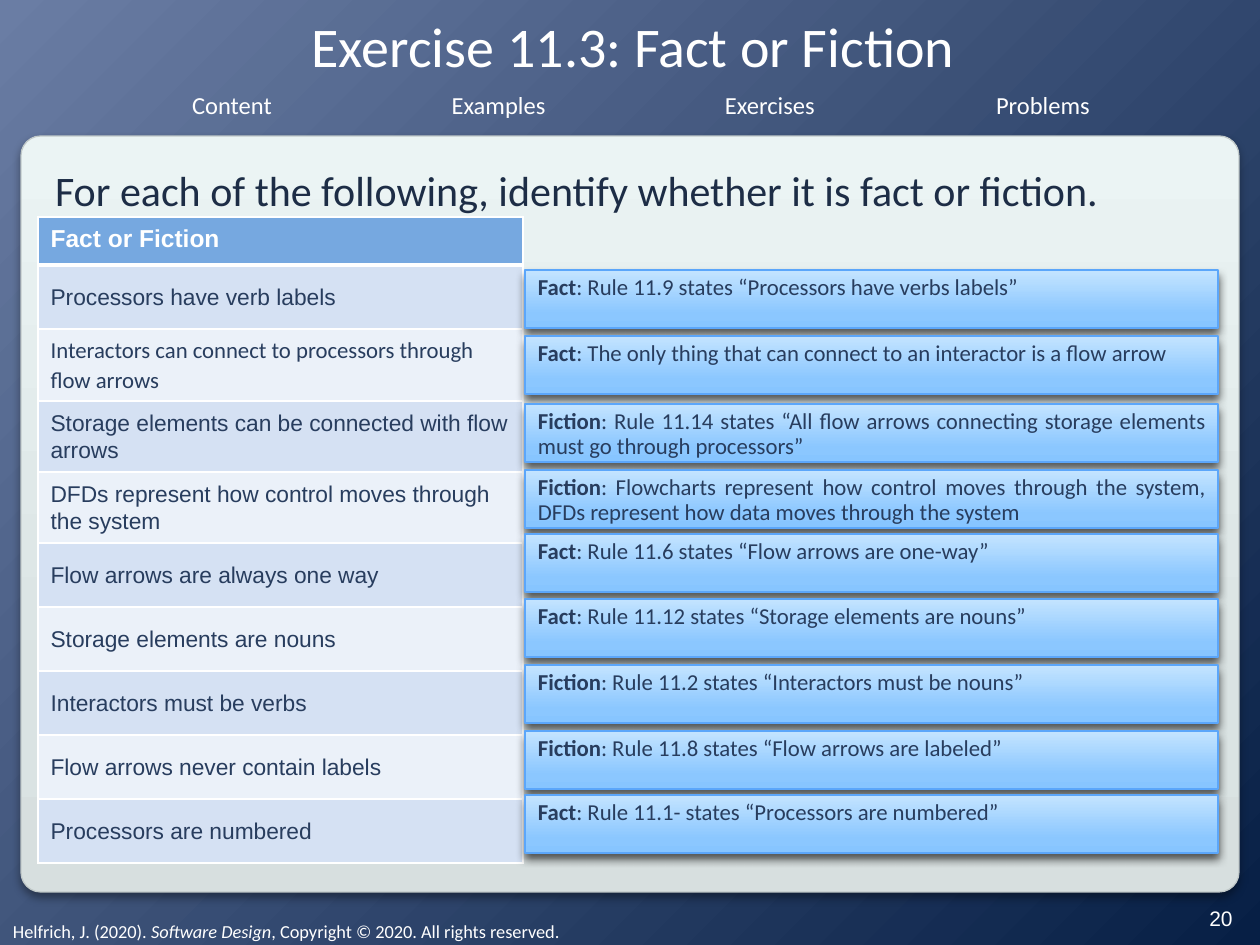
from dataclasses import dataclass

from lxml import etree
from pptx import Presentation
from pptx.dml.color import RGBColor
from pptx.enum.shapes import MSO_SHAPE
from pptx.enum.text import MSO_ANCHOR, MSO_AUTO_SIZE, PP_ALIGN
from pptx.oxml.ns import nsdecls, qn
from pptx.util import Pt

LEFT, MID, JUST = PP_ALIGN.LEFT, PP_ALIGN.CENTER, PP_ALIGN.JUSTIFY
TOP, CORE = MSO_ANCHOR.TOP, MSO_ANCHOR.MIDDLE
FIXED = MSO_AUTO_SIZE.NONE
ROUND, RECT = MSO_SHAPE.ROUNDED_RECTANGLE, MSO_SHAPE.RECTANGLE


@dataclass(frozen=True)
class Theme:
    sans: str = "Calibri"
    grid: str = "Arial"
    white: str = "FFFFFF"
    ink: str = "283D5E"
    deep: str = "1D2D46"
    head: str = "76A8E0"
    bands: tuple = ("D5E1F3", "EBF1F9")
    sky: tuple = ((0, "6A7DA4"), (100, "071F45"))
    panel: tuple = ((0, "D7DFDF"), (25, "DAE3E3"), (100, "EBF4F4"))
    rim: str = "C1C9C9"
    bar: tuple = ((0, "87C5FF"), (25, "8BC7FF"), (100, "C4E4FF"))
    edge: str = "5BA6FA"
    title: float = 32
    lead: float = 24
    menu: float = 14
    cell: float = 13
    page: float = 12
    note: float = 10.5


T = Theme()
LINEAR = '<a:lin ang="16200000" scaled="0"/>'
RADIAL = '<a:path path="circle"><a:fillToRect r="100000" b="100000"/></a:path>'

CLAIMS = [
    ("Processors have verb labels", T.grid),
    ("Interactors can connect to processors through flow arrows", T.sans),
    ("Storage elements can be connected with flow arrows", T.grid),
    ("DFDs represent how control moves through the system", T.grid),
    ("Flow arrows are always one way", T.grid),
    ("Storage elements are nouns", T.grid),
    ("Interactors must be verbs", T.grid),
    ("Flow arrows never contain labels", T.grid),
    ("Processors are numbered", T.grid),
]
REPLIES = [
    (0, "Fact", "Rule 11.9 states “Processors have verbs labels”"),
    (66, "Fact", "The only thing that can connect to an interactor is a flow arrow"),
    (134, "Fiction", "Rule 11.14 states “All flow arrows connecting storage elements "
     "must go through processors”"),
    (200, "Fiction", "Flowcharts represent how control moves through the system, "
     "DFDs represent how data moves through the system"),
    (264, "Fact", "Rule 11.6 states “Flow arrows are one-way”"),
    (329, "Fact", "Rule 11.12 states “Storage elements are nouns”"),
    (395, "Fiction", "Rule 11.2 states “Interactors must be nouns”"),
    (461, "Fiction", "Rule 11.8 states “Flow arrows are labeled”"),
    (525, "Fact", "Rule 11.1- states “Processors are numbered”"),
]
MENU = [(0, 106, "Content"), (259, 121, "Examples"),
        (533, 116, "Exercises"), (804, 120, "Problems")]


def px(n):
    return round(n * 914400 / 126)


def node(xml):
    return etree.fromstring(xml.replace(" ", f" {nsdecls('a')} ", 1))


def write(frame, *runs, size, color=T.white, font=T.sans, bold=(), slant=(),
          align=LEFT, gap=None, lead=0):
    para = frame.paragraphs[0]
    para.alignment = align
    para.space_before = Pt(lead)
    if gap:
        para.line_spacing = gap
    for i, text in enumerate(runs):
        run = para.add_run()
        run.text = text
        run.font.name, run.font.size = font, Pt(size)
        run.font.bold, run.font.italic = i in bold, i in slant
        run.font.color.rgb = RGBColor.from_string(color)
    return para


def fit(shape, box, pad=(13, 6), anchor=TOP):
    shape.left, shape.top, shape.width, shape.height = map(px, box)
    frame = shape.text_frame
    frame.word_wrap, frame.auto_size = True, FIXED
    frame.vertical_anchor = anchor
    frame.margin_left = frame.margin_right = px(pad[0])
    frame.margin_top = frame.margin_bottom = px(pad[1])
    return frame


def label(slide, box, **look):
    return fit(slide.shapes.add_textbox(0, 0, 0, 0), box, **look)


def paint(fill, root, stops, shade):
    fill.gradient()
    old = next(root.iter(qn("a:gradFill")))
    marks = "".join(f'<a:gs pos="{at * 1000}"><a:srgbClr val="{hue}"/></a:gs>'
                    for at, hue in stops)
    new = node(f'<a:gradFill rotWithShape="1"><a:gsLst>{marks}</a:gsLst>{shade}</a:gradFill>')
    old.getparent().replace(old, new)


def plate(slide, kind, box, stops, edge, alpha):
    shape = slide.shapes.add_shape(kind, *map(px, box))
    paint(shape.fill, shape._element, stops, LINEAR)
    shape.line.color.rgb = RGBColor.from_string(edge)
    shape.line.width = Pt(0.75)
    shape.shadow.inherit = False
    shape._element.spPr.find(qn("a:effectLst")).append(node(
        '<a:outerShdw blurRad="66040" dist="38100" dir="5400000" rotWithShape="0">'
        f'<a:srgbClr val="000000"><a:alpha val="{alpha * 1000}"/></a:srgbClr></a:outerShdw>'))
    return shape


def rule(cell, **sides):
    props = cell._tc.get_or_add_tcPr()
    for i, (side, width) in enumerate(sides.items()):
        props.insert(i, node(
            f'<a:{side} w="{Pt(width)}"><a:solidFill><a:srgbClr val="{T.white}"/>'
            f'</a:solidFill></a:{side}>'))


def menu(slide, x, y):
    for dx, wide, text in MENU:
        frame = label(slide, (x + dx, y, wide, 43), pad=(0, 6))
        write(frame, text, size=T.menu, align=MID)


def header(slide, x, y, w, h):
    frame = fit(slide.shapes.title, (x, y, w, h), pad=(0, 0), anchor=CORE)
    write(frame, "Exercise 11.3: Fact or Fiction", size=T.title, align=MID)


def intro(slide, x, y, w, h):
    frame = fit(slide.placeholders[1], (x, y, w, h))
    para = write(frame, "For each of the following, identify whether it is fact or fiction.",
                 size=T.lead, color=T.deep, lead=2)
    props = para._p.get_or_add_pPr()
    props.set("marL", str(px(48)))
    props.set("indent", str(-px(48)))
    props.append(node("<a:buNone />"))


def claims(slide, x, y, w):
    highs = [48] + [71 if len(text) > 40 else 64 for text, _ in CLAIMS]
    table = slide.shapes.add_table(len(highs), 1, *map(px, (x, y, w, sum(highs)))).table
    for i, (text, font) in enumerate([("Fact or Fiction", T.grid)] + CLAIMS):
        table.rows[i].height = px(highs[i])
        cell = table.cell(i, 0)
        cell.vertical_anchor = CORE if i else TOP
        cell.fill.solid()
        cell.fill.fore_color.rgb = RGBColor.from_string(T.bands[(i - 1) % 2] if i else T.head)
        rule(cell, lnL=1, lnR=1, lnT=3 if i == 1 else 1, lnB=1 if i else 3)
        write(cell.text_frame, text, font=font, gap=1.07,
              size=T.cell if i else T.menu, color=T.ink if i else T.white,
              bold=() if i else (0,))


def replies(slide, x, y, w):
    for dy, mark, text in REPLIES:
        box = (x, y + dy, w, 58)
        frame = fit(plate(slide, RECT, box, T.bar, T.edge, 64), box)
        write(frame, mark, f": {text}", size=T.cell, color=T.ink, bold=(0,),
              align=JUST, gap=0.9)


def footer(slide, x, y, w, h):
    frame = label(slide, (x, y + 22, 1134, 37))
    write(frame, "Helfrich, J. (2020). ", "Software Design",
          ", Copyright © 2020. All rights reserved.", size=T.note, slant=(1,))
    frame = label(slide, (x + w - 81, y, 84, h), anchor=CORE)
    write(frame, "20", size=T.page, font=T.grid, align=MID)


def main():
    deck = Presentation()
    deck.slide_width, deck.slide_height = px(1260), px(945)
    slide = deck.slides.add_slide(deck.slide_layouts[1])
    paint(slide.background.fill, slide._element, T.sky, RADIAL)
    panel = plate(slide, ROUND, (21, 136, 1218, 756), T.panel, T.rim, 40)
    panel.adjustments[0] = 0.026
    tree = panel._element.getparent()
    tree.remove(panel._element)
    tree.insert(2, panel._element)
    header(slide, 28, 14, 1211, 63)
    menu(slide, 179, 84)
    intro(slide, 42, 158, 1176, 73)
    claims(slide, 38, 217, 485)
    replies(slide, 525, 270, 693)
    footer(slide, 0, 892, 1260, 53)
    deck.save("out.pptx")


if __name__ == "__main__":
    main()
